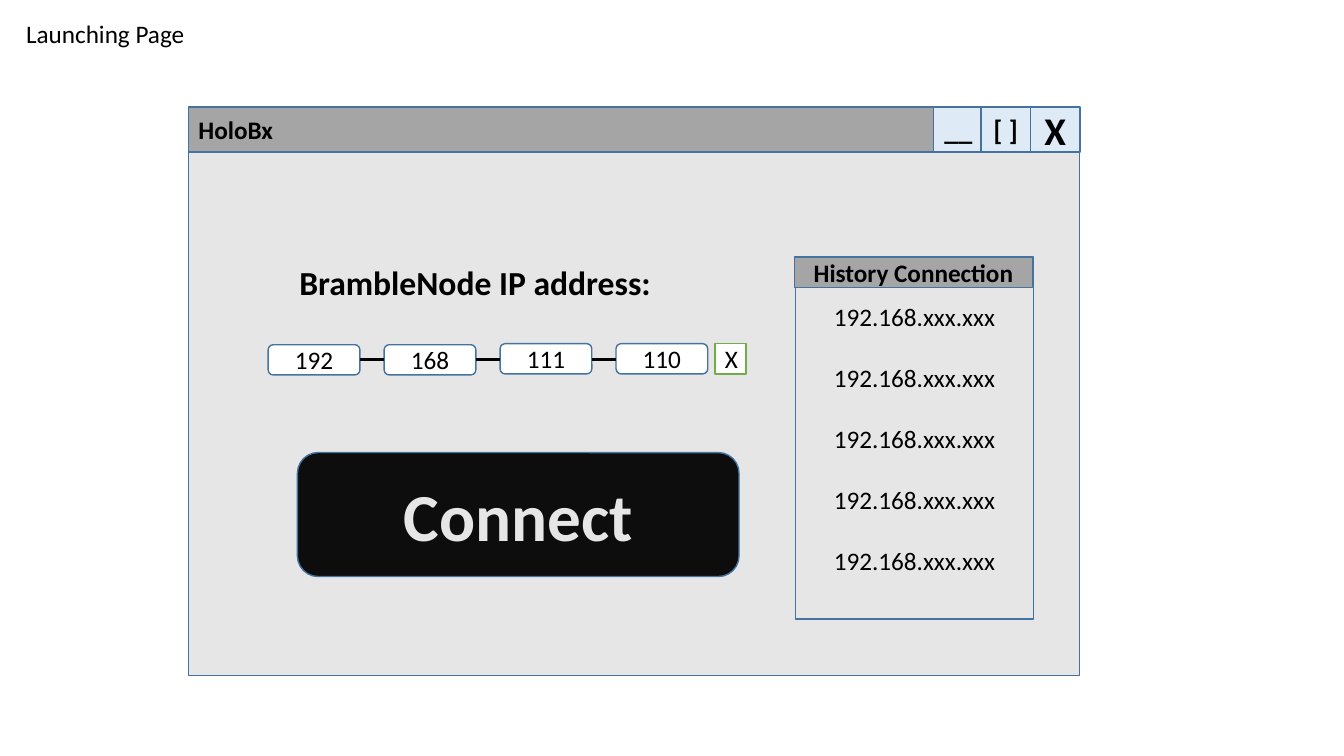
from lxml import etree
from pptx import Presentation
from pptx.dml.color import RGBColor
from pptx.enum.shapes import MSO_CONNECTOR, MSO_SHAPE
from pptx.enum.text import MSO_ANCHOR, PP_ALIGN
from pptx.oxml.ns import qn
from pptx.util import Pt

PX = 9144  # 100 px to the inch
RECT = MSO_SHAPE.RECTANGLE
ROUND = MSO_SHAPE.ROUNDED_RECTANGLE
STRAIGHT = MSO_CONNECTOR.STRAIGHT
MIDDLE, TOP = MSO_ANCHOR.MIDDLE, MSO_ANCHOR.TOP
LEFT, CENTER = PP_ALIGN.LEFT, PP_ALIGN.CENTER

FONT = "Calibri"
BLACK = RGBColor(0x00, 0x00, 0x00)
WHITE = RGBColor(0xFF, 0xFF, 0xFF)
PANEL = RGBColor(0xE7, 0xE6, 0xE6)
BAR = RGBColor(0xA5, 0xA5, 0xA5)
CONTROL = RGBColor(0xDE, 0xEB, 0xF7)
BUTTON = RGBColor(0x0D, 0x0D, 0x0D)
OUTLINE = RGBColor(0x43, 0x73, 0x9E)
GREEN = RGBColor(0x70, 0xAD, 0x47)

WINDOW_X, WINDOW_Y, WINDOW_W, BAR_H = 187, 106, 884, 45
CONTROLS = [("__", 926, 20), ("[ ]", 973, 20), ("X", 1022, 28)]
OCTETS = ["192", "168", "111", "110"]
OCTET_X, OCTET_W, OCTET_STEP = 266, 91, 115
HISTORY = ["192.168.xxx.xxx"] * 5


def emu(*lengths):
    return [n * PX for n in lengths]


def write(sp, lines, size=18, bold=False, color=BLACK, align=CENTER, anchor=MIDDLE, gap=0):
    """Put one paragraph per line into a shape, gap points apart."""
    tf = sp.text_frame
    tf.word_wrap = True
    tf.vertical_anchor = anchor
    for i, line in enumerate(lines):
        p = tf.add_paragraph() if i else tf.paragraphs[0]
        p.alignment = align
        if i:
            p.space_before = Pt(gap)
        r = p.add_run()
        r.text = line
        r.font.name = FONT
        r.font.size = Pt(size)
        r.font.bold = bold
        r.font.color.rgb = color


def box(slide, x, y, w, h, fill, lines=(), kind=RECT, line=OUTLINE, **text_format):
    sp = slide.shapes.add_shape(kind, *emu(x, y, w, h))
    sp.shadow.inherit = False
    sp.fill.solid()
    sp.fill.fore_color.rgb = fill
    sp.line.color.rgb = line
    sp.line.width = Pt(1)
    write(sp, lines, **text_format)


def label(slide, x, y, w, h, text, **text_format):
    sp = slide.shapes.add_textbox(*emu(x, y, w, h))
    write(sp, [text], align=LEFT, anchor=TOP, **text_format)


def dash(slide, x1, x2, y):
    sp = slide.shapes.add_connector(STRAIGHT, *emu(x1, y, x2, y))
    sp.line.color.rgb = BLACK
    sp.line.width = Pt(2.25)
    etree.SubElement(sp._element.spPr, qn("a:effectLst"))


def window(slide):
    box(slide, WINDOW_X, WINDOW_Y + BAR_H, WINDOW_W, 519, PANEL)
    box(slide, WINDOW_X, WINDOW_Y, WINDOW_W, BAR_H, BAR, ["HoloBx"], bold=True, align=LEFT)
    for text, x, size in CONTROLS:
        box(slide, x, WINDOW_Y, 49, BAR_H, CONTROL, [text], size=size, bold=True)


def address_form(slide):
    label(slide, 287, 255, 443, 50, "BrambleNode IP address:", size=24, bold=True)
    for i, octet in enumerate(OCTETS):
        x = OCTET_X + i * OCTET_STEP
        y = 342 if i < 2 else 341
        box(slide, x, y, OCTET_W, 30, WHITE, [octet], kind=ROUND)
        if i:
            dash(slide, x - OCTET_STEP + OCTET_W, x, 357)
    box(slide, 709, 341, 31, 30, WHITE, ["X"], line=GREEN)
    box(slide, 295, 449, 438, 123, BUTTON, ["Connect"], kind=ROUND,
        size=48, bold=True, color=PANEL)


def history(slide):
    box(slide, 789, 255, 236, 359, PANEL, HISTORY, gap=22)
    box(slide, 788, 255, 236, 30, BAR, ["History Connection"], bold=True)


def main():
    prs = Presentation()
    prs.slide_width, prs.slide_height = emu(1333, 750)
    slide = prs.slides.add_slide(prs.slide_layouts[6])
    label(slide, 16, 13, 325, 40, "Launching Page")
    window(slide)
    address_form(slide)
    history(slide)
    prs.save("out.pptx")


if __name__ == "__main__":
    main()
